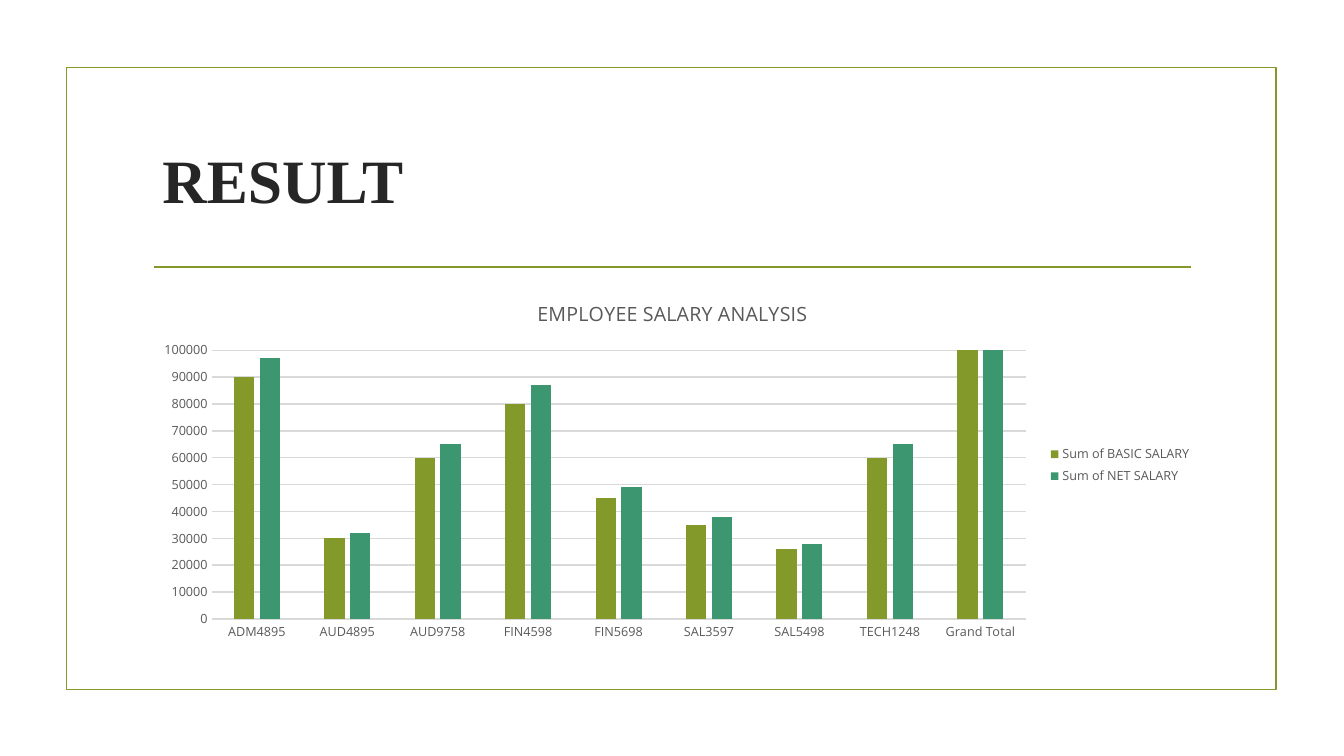
from pptx import Presentation
from pptx.chart.data import CategoryChartData
from pptx.dml.color import RGBColor
from pptx.enum.chart import XL_CHART_TYPE, XL_LEGEND_POSITION, XL_TICK_MARK
from pptx.enum.shapes import MSO_CONNECTOR, MSO_SHAPE
from pptx.enum.text import MSO_ANCHOR, PP_ALIGN
from pptx.oxml.ns import qn
from pptx.util import Inches, Pt
from lxml import etree

OLIVE = RGBColor(0x83, 0x99, 0x2A)
GREEN = RGBColor(0x3C, 0x97, 0x70)
DARK = RGBColor(0x26, 0x26, 0x26)
GREY = RGBColor(0x59, 0x59, 0x59)
PALE_GREY = RGBColor(0xD9, 0xD9, 0xD9)


def style_font(font, size, color, name="Open Sans", bold=False):
    font.size = Pt(size)
    font.color.rgb = color
    font.name = name
    font.bold = bold


def style_line(line, color, width):
    line.color.rgb = color
    line.width = Pt(width)


prs = Presentation()
prs.slide_width = Inches(13.33)
prs.slide_height = Inches(7.5)
slide = prs.slides.add_slide(prs.slide_layouts[5])

# Frame and rule
frame = slide.shapes.add_shape(
    MSO_SHAPE.RECTANGLE, Inches(0.66), Inches(0.67), Inches(12), Inches(6.17))
frame.shadow.inherit = False
frame.fill.background()
style_line(frame.line, OLIVE, 1.25)

rule = slide.shapes.add_connector(
    MSO_CONNECTOR.STRAIGHT, Inches(1.53), Inches(2.65), Inches(11.81), Inches(2.65))
style_line(rule.line, OLIVE, 1.25)
etree.SubElement(rule.element.spPr, qn("a:effectLst"))

# Heading
heading = slide.shapes.title
heading.left, heading.top = Inches(1.51), Inches(1.06)
heading.width, heading.height = Inches(10.5), Inches(1.43)
heading.text_frame.text = "RESULT"
heading.text_frame.vertical_anchor = MSO_ANCHOR.MIDDLE
heading_line = heading.text_frame.paragraphs[0]
heading_line.alignment = PP_ALIGN.LEFT
style_font(heading_line.runs[0].font, 44, DARK, "Times New Roman", True)

# Salary chart
salaries = CategoryChartData()
salaries.categories = ["ADM4895", "AUD4895", "AUD9758", "FIN4598", "FIN5698",
                       "SAL3597", "SAL5498", "TECH1248", "Grand Total"]
salaries.add_series("Sum of BASIC SALARY", [
    90000, 30000, 60000, 80000, 45000, 35000, 26000, 60000, 426000])
salaries.add_series("Sum of NET SALARY", [
    97000, 32000, 65000, 87000, 49000, 38000, 28000, 65000, 461000])
chart = slide.shapes.add_chart(
    XL_CHART_TYPE.COLUMN_CLUSTERED, Inches(1.42), Inches(2.8),
    Inches(10.5), Inches(3.63), salaries).chart
style_font(chart.font, 10, GREY)

chart.has_title = True
chart_title = chart.chart_title.text_frame
chart_title.text = "EMPLOYEE SALARY ANALYSIS"
style_font(chart_title.paragraphs[0].runs[0].font, 14, GREY)
chart.chart_title.include_in_layout = False

chart.has_legend = True
chart.legend.position = XL_LEGEND_POSITION.RIGHT
chart.legend.include_in_layout = False
style_font(chart.legend.font, 9, GREY)

columns = chart.plots[0]
columns.gap_width = 219
columns.overlap = -27
columns.vary_by_categories = False
for series, color in zip(columns.series, (OLIVE, GREEN)):
    series.format.fill.solid()
    series.format.fill.fore_color.rgb = color
    series.invert_if_negative = False

employees, amounts = chart.category_axis, chart.value_axis
for axis in (employees, amounts):
    axis.major_tick_mark = XL_TICK_MARK.NONE
    axis.minor_tick_mark = XL_TICK_MARK.NONE
    style_font(axis.tick_labels.font, 9, GREY)
style_line(employees.format.line, PALE_GREY, 1)
amounts.format.line.fill.background()
amounts.minimum_scale = 0
amounts.maximum_scale = 100000
amounts.major_unit = 10000
amounts.tick_labels.number_format = "General"
amounts.tick_labels.number_format_is_linked = False
style_line(amounts.major_gridlines.format.line, PALE_GREY, 1)

prs.save("out.pptx")
